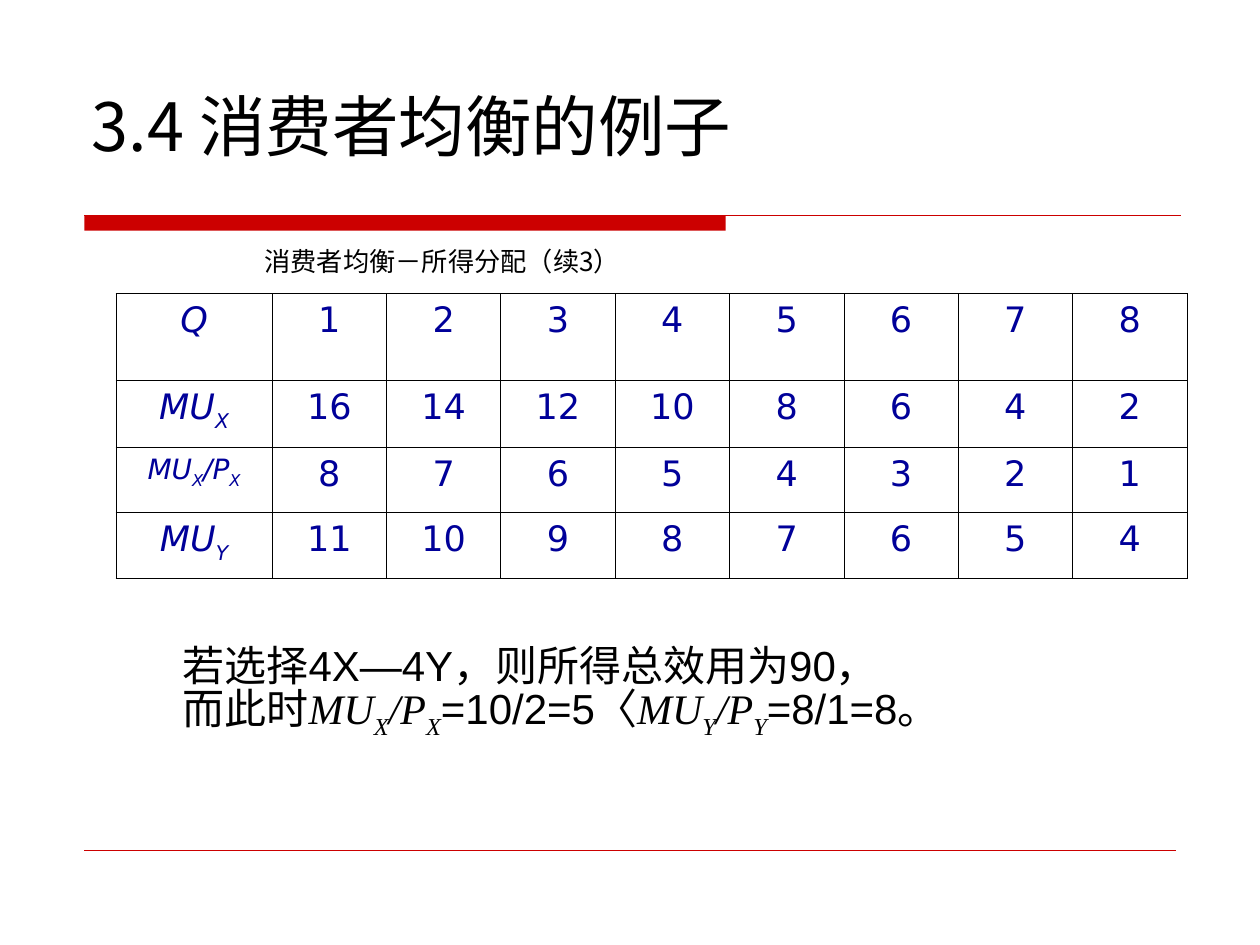
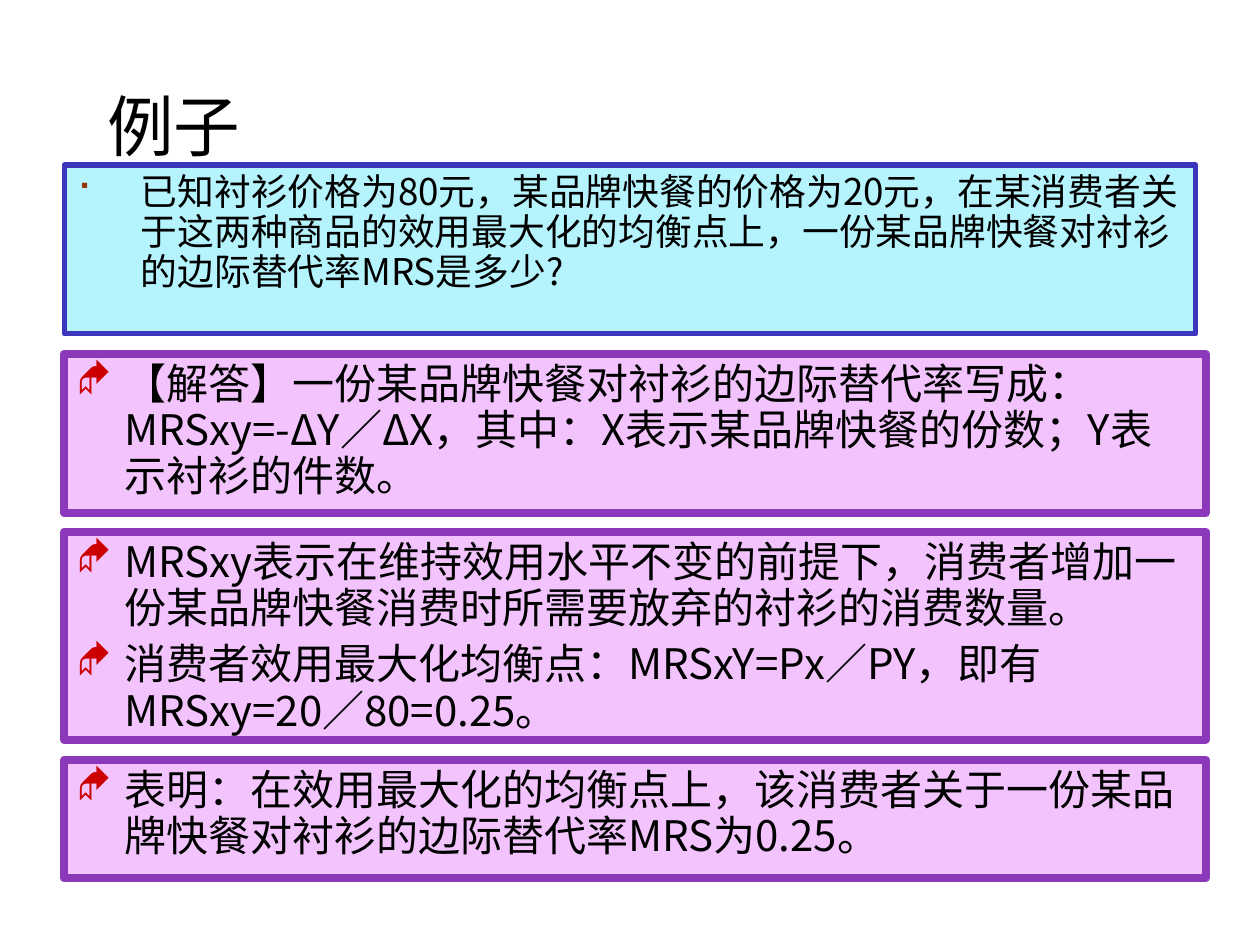
import pptx
import pptx.dml.color
import pptx.enum.shapes
import pptx.enum.text
import pptx.oxml
import pptx.oxml.ns
import pptx.util
from lxml import etree

Inches = pptx.util.Inches
Pt = pptx.util.Pt
qn = pptx.oxml.ns.qn

COLORS = {
    "text": "000000", "accent": "CC0000", "table": "000099", "square": "993300",
    "question_fill": "B5F3FD", "question_line": "3C36BC",
    "answer_fill": "F3C3FD", "answer_line": "8C38BA",
}
HAN_FONT = "Noto Sans CJK SC"
TABLE_FONT = "DejaVu Sans"

UTILITY_ROWS = [
    ("Q", range(1, 9)),
    ("MU_X", range(16, 0, -2)),
    ("MU_X/P_X", range(8, 0, -1)),
    ("MU_Y", range(11, 3, -1)),
]
ROW_HEIGHTS = [0.69, 0.53, 0.52, 0.52]

CONCLUSION = [
    [("若选择4X—4Y，则所得总效用为90，", "Arial")],
    [("而此时", "Arial"), ("MU_X/P_X", "Times New Roman"), ("=10/2=5〈", "Arial"),
     ("MU_Y/P_Y", "Times New Roman"), ("=8/1=8。", "Arial")],
]

QUESTION = ["已知衬衫价格为80元，某品牌快餐的价格为20元，在某消费者关于这两种商品的"
            "效用最大化的均衡点上，一份某品牌快餐对衬衫的边际替代率MRS是多少?"]
ANSWERS = [
    (2.81, 1.26, ["【解答】一份某品牌快餐对衬衫的边际替代率写成：MRSxy=-ΔY／ΔX，"
                  "其中：X表示某品牌快餐的份数；Y表示衬衫的件数。"]),
    (4.22, 1.65, ["MRSxy表示在维持效用水平不变的前提下，消费者增加一份某品牌快餐消费时"
                  "所需要放弃的衬衫的消费数量。",
                  "消费者效用最大化均衡点：MRSxY=Px／PY，即有MRSxy=20／80=0.25。"]),
    (6.03, 0.94, ["表明：在效用最大化的均衡点上，该消费者关于一份某品牌快餐对衬衫的"
                  "边际替代率MRS为0.25。"]),
]


def rgb(name):
    """Return the named colour."""
    return pptx.dml.color.RGBColor.from_string(COLORS[name])


def style_run(run, size, font=HAN_FONT, color="text", italic=False):
    """Format one run, with its East Asian font."""
    run.font.size = Pt(size)
    run.font.name = font
    run.font.bold = False
    run.font.italic = italic
    run.font.color.rgb = rgb(color)
    etree.SubElement(run.font._element, qn("a:ea"), typeface=HAN_FONT)


def add_notation(paragraph, notation, size, font, color="text", italic=False):
    """Add runs in which the letter after each underscore is a subscript."""
    head, *tails = notation.split("_")
    pieces = [(head, False)]
    for tail in tails:
        pieces += [(tail[0], True), (tail[1:], False)]
    for text, is_subscript in pieces:
        if text:
            run = paragraph.add_run()
            run.text = text
            style_run(run, size, font, color, italic)
            if is_subscript:
                run.font._element.set("baseline", "-25000")


def add_titled_slide(deck, title, left=0.63):
    """Add a title-only slide and place its title."""
    slide = deck.slides.add_slide(deck.slide_layouts[5])
    heading = slide.shapes.title
    heading.left, heading.top = Inches(left), Inches(0.33)
    heading.width, heading.height = Inches(8.75), Inches(1.33)
    frame = heading.text_frame
    frame.text = title
    frame.auto_size = pptx.enum.text.MSO_AUTO_SIZE.NONE
    frame.vertical_anchor = pptx.enum.text.MSO_ANCHOR.MIDDLE
    frame.paragraphs[0].alignment = pptx.enum.text.PP_ALIGN.LEFT
    style_run(frame.paragraphs[0].runs[0], 38)
    return slide


def add_rule(slide, y, right, weight):
    """Draw a horizontal accent line."""
    rule = slide.shapes.add_connector(
        pptx.enum.shapes.MSO_CONNECTOR.STRAIGHT,
        Inches(0.67), Inches(y), Inches(right), Inches(y))
    rule.line.color.rgb = rgb("accent")
    rule.line.width = Pt(weight)
    etree.SubElement(rule._element.spPr, qn("a:effectLst"))


def add_box(slide, left, top, width, height, fill):
    """Draw a filled rectangle without line or shadow."""
    box = slide.shapes.add_shape(
        pptx.enum.shapes.MSO_SHAPE.RECTANGLE,
        Inches(left), Inches(top), Inches(width), Inches(height))
    box.shadow.inherit = False
    box.fill.solid()
    box.fill.fore_color.rgb = rgb(fill)
    box.line.fill.background()
    return box


def add_text_frame(slide, left, top, width, height):
    """Add a wrapping text box and return its frame."""
    frame = slide.shapes.add_textbox(
        Inches(left), Inches(top), Inches(width), Inches(height)).text_frame
    frame.word_wrap = True
    return frame


def add_caption(slide, caption):
    """Add the caption above the table."""
    frame = add_text_frame(slide, 2, 1.9, 6, 0.4)
    frame.text = caption
    style_run(frame.paragraphs[0].runs[0], 15)


def outline_cell(cell):
    """Clear the cell fill and give it thin black borders."""
    cell.fill.background()
    properties = cell._tc.get_or_add_tcPr()
    for position, side in enumerate(("lnL", "lnR", "lnT", "lnB")):
        border = etree.Element(qn(f"a:{side}"), w=str(Pt(0.45)))
        fill = etree.SubElement(border, qn("a:solidFill"))
        etree.SubElement(fill, qn("a:srgbClr"), val=COLORS["text"])
        properties.insert(position, border)


def add_utility_table(slide):
    """Add the table of marginal utilities."""
    table = slide.shapes.add_table(
        len(UTILITY_ROWS), 9, Inches(0.92), Inches(2.33),
        Inches(8.5), Inches(sum(ROW_HEIGHTS))).table
    table.first_row = table.horz_banding = False
    for index, column in enumerate(table.columns):
        column.width = Inches((8.5 - 1.24) / 8 if index else 1.24)
    for row, height, (label, utilities) in zip(table.rows, ROW_HEIGHTS, UTILITY_ROWS):
        row.height = Inches(height)
        for index, (cell, entry) in enumerate(zip(row.cells, [label, *utilities])):
            outline_cell(cell)
            paragraph = cell.text_frame.paragraphs[0]
            paragraph.alignment = pptx.enum.text.PP_ALIGN.CENTER
            size = 16 if "/" in str(entry) else 20
            add_notation(paragraph, str(entry), size, TABLE_FONT, "table", index == 0)


def add_conclusion(slide):
    """Add the two closing lines under the table."""
    frame = add_text_frame(slide, 1.35, 5.03, 7.65, 1)
    for index, line in enumerate(CONCLUSION):
        paragraph = frame.add_paragraph() if index else frame.paragraphs[0]
        paragraph.line_spacing = Pt(28.6)
        for notation, font in line:
            add_notation(paragraph, notation, 24, font, italic=font != "Arial")


def add_bullet(paragraph, symbol, color, indent):
    """Give a paragraph a hanging symbol bullet."""
    properties = paragraph._p.get_or_add_pPr()
    properties.set("marL", str(Inches(indent)))
    properties.set("indent", str(-Inches(indent)))
    tint = etree.SubElement(properties, qn("a:buClr"))
    etree.SubElement(tint, qn("a:srgbClr"), val=COLORS[color])
    etree.SubElement(properties, qn("a:buSzPct"), val="95000")
    etree.SubElement(properties, qn("a:buFont"), typeface="Wingdings")
    etree.SubElement(properties, qn("a:buChar"), char=symbol)


def add_panel(slide, top, width, height, kind, points, size, pitch, weight, bullet):
    """Add an outlined panel of bulleted points."""
    panel = add_box(slide, 0.51, top, width, height, f"{kind}_fill")
    panel.line.color.rgb = rgb(f"{kind}_line")
    panel.line.width = Pt(weight)
    frame = panel.text_frame
    frame.word_wrap = True
    frame.vertical_anchor = pptx.enum.text.MSO_ANCHOR.TOP
    frame.margin_top = Inches(0.06)
    frame.text = "\n".join(points)
    for index, paragraph in enumerate(frame.paragraphs):
        add_bullet(paragraph, *bullet)
        paragraph.alignment = pptx.enum.text.PP_ALIGN.LEFT
        paragraph.line_spacing = Pt(pitch)
        if index:
            paragraph.space_before = Pt(6)
        style_run(paragraph.runs[0], size)


def main():
    """Build both slides and save the deck."""
    deck = pptx.Presentation()
    deck.slide_width, deck.slide_height = Inches(10), Inches(7.5)

    equilibrium = add_titled_slide(deck, "3.4 消费者均衡的例子")
    add_box(equilibrium, 0.67, 1.71, 5.09, 0.12, "accent")
    add_rule(equilibrium, 1.71, 9.37, 0.75)
    add_rule(equilibrium, 6.75, 9.33, 0.25)
    add_caption(equilibrium, "消费者均衡－所得分配（续3）")
    add_utility_table(equilibrium)
    add_conclusion(equilibrium)

    example = add_titled_slide(deck, "例子", left=0.75)
    add_panel(example, 1.31, 8.98, 1.34, "question", QUESTION,
              21, 23, 3, ("■", "square", 0.51))
    for top, height, points in ANSWERS:
        add_panel(example, top, 9.06, height, "answer", points,
                  24, 26.4, 4.5, ("◆", "accent", 0.38))

    deck.save("out.pptx")


if __name__ == "__main__":
    main()
